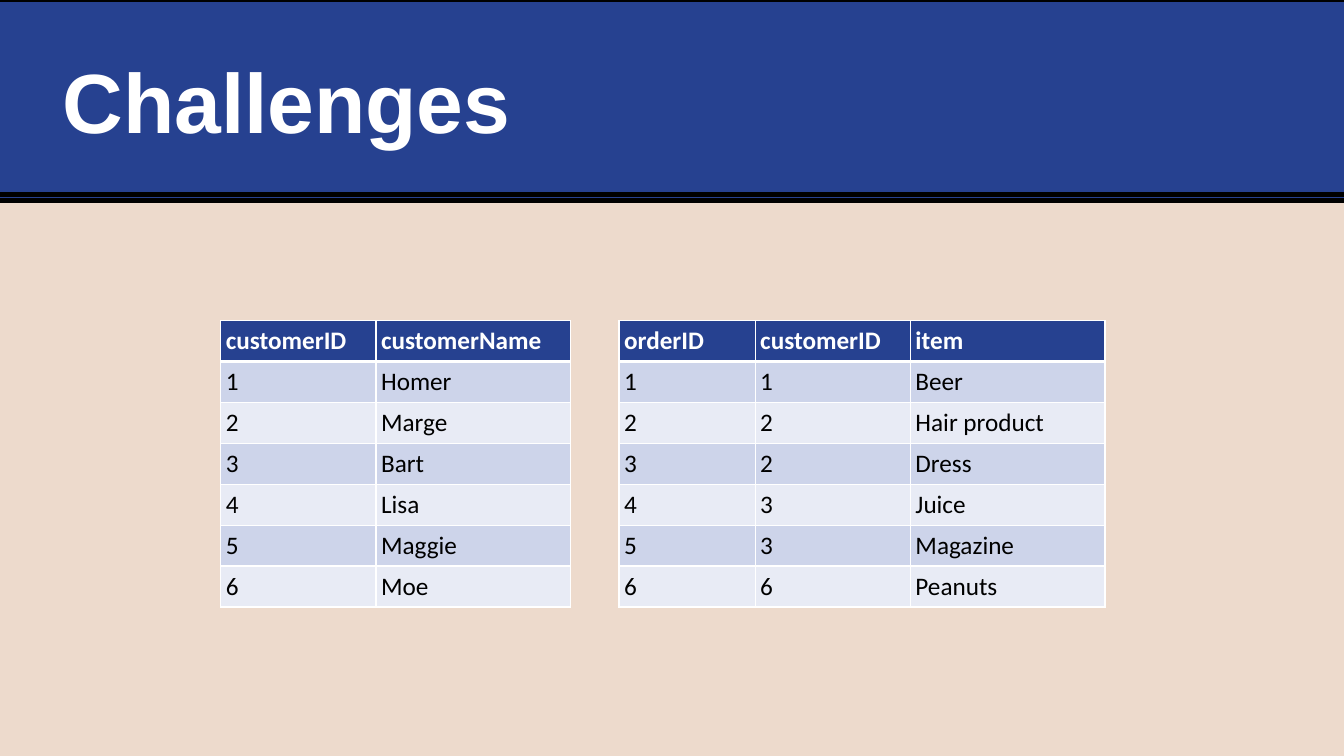
from dataclasses import dataclass

from lxml.etree import SubElement
from pptx import Presentation
from pptx.dml.color import RGBColor
from pptx.enum.shapes import MSO_CONNECTOR, MSO_SHAPE
from pptx.enum.text import MSO_ANCHOR, MSO_AUTO_SIZE, PP_ALIGN
from pptx.oxml.ns import qn
from pptx.util import Inches, Pt


@dataclass(frozen=True)
class Theme:
    """Colours, fonts and type sizes of the deck."""
    paper: str = "EDDACC"
    blue: str = "264190"
    black: str = "000000"
    white: str = "FFFFFF"
    stripes: tuple = ("CDD4EA", "E8EBF5")
    title_font: str = "Arial"
    table_font: str = "Calibri"
    title_size: int = 60
    table_size: int = 18
    rule: int = 3
    hairline: int = 1


THEME = Theme()
COLUMN_WIDTHS = {"customerID": 1.54, "customerName": 1.93, "orderID": 1.35, "item": 1.93}
ROW_HEIGHT = 0.406
CUSTOMERS = [
    ("customerID", "customerName"),
    ("1", "Homer"),
    ("2", "Marge"),
    ("3", "Bart"),
    ("4", "Lisa"),
    ("5", "Maggie"),
    ("6", "Moe"),
]
ORDERS = [
    ("orderID", "customerID", "item"),
    ("1", "1", "Beer"),
    ("2", "2", "Hair product"),
    ("3", "2", "Dress"),
    ("4", "3", "Juice"),
    ("5", "3", "Magazine"),
    ("6", "6", "Peanuts"),
]


def paint(fill, colour):
    """Give a fill one solid colour."""
    fill.solid()
    fill.fore_color.rgb = RGBColor.from_string(colour)


def style_font(font, name, size, colour, bold):
    """Set the face, size, colour and weight of a font."""
    font.name, font.size, font.bold = name, Pt(size), bold
    font.color.rgb = RGBColor.from_string(colour)


def style_line(line):
    """Make a line a heavy black rule."""
    line.color.rgb = RGBColor.from_string(THEME.black)
    line.width = Pt(THEME.rule)


def set_insets(target, inset):
    """Give a text frame or cell the same margin on every side."""
    target.margin_left = target.margin_right = Inches(inset)
    target.margin_top = target.margin_bottom = Inches(inset)


def add_header(page, text, left, top, width, height):
    """Draw the blue band, its lower rule and the title above them."""
    band = page.shapes.add_shape(
        MSO_SHAPE.RECTANGLE, Inches(left), Inches(top), Inches(width), Inches(height))
    band.shadow.inherit = False
    paint(band.fill, THEME.blue)
    style_line(band.line)

    rule_top = Inches(top + height - 0.06)
    rule = page.shapes.add_connector(
        MSO_CONNECTOR.STRAIGHT, Inches(left - 0.11), rule_top,
        Inches(left + width - 0.08), rule_top)
    style_line(rule.line)
    SubElement(rule.element.spPr, qn("a:effectLst"))

    title = page.shapes.title
    title.left, title.top = Inches(left + 0.59), Inches(top + 0.3)
    title.width, title.height = Inches(width - 1.2), Inches(height - 0.6)
    frame = title.text_frame
    frame.text = text
    frame.word_wrap = True
    frame.auto_size = MSO_AUTO_SIZE.NONE
    frame.vertical_anchor = MSO_ANCHOR.MIDDLE
    set_insets(frame, 0.13)
    para = frame.paragraphs[0]
    para.alignment = PP_ALIGN.LEFT
    style_font(para.font, THEME.title_font, THEME.title_size, THEME.white, True)
    page.shapes.element.append(title.element)


def add_borders(cell, is_header):
    """Draw white cell borders, heavier below the header."""
    properties = cell._tc.get_or_add_tcPr()
    for side in ("lnL", "lnR", "lnT", "lnB"):
        weight = THEME.rule if is_header and side == "lnB" else THEME.hairline
        border = SubElement(properties, qn(f"a:{side}"), w=str(Pt(weight)))
        fill = SubElement(border, qn("a:solidFill"))
        SubElement(fill, qn("a:srgbClr"), val=THEME.white)


def add_data_table(page, records, left, top):
    """Place a striped table whose columns follow its header names."""
    widths = [COLUMN_WIDTHS[name] for name in records[0]]
    table = page.shapes.add_table(
        len(records), len(widths), Inches(left), Inches(top),
        Inches(sum(widths)), Inches(ROW_HEIGHT * len(records))).table
    for column, width in zip(table.columns, widths):
        column.width = Inches(width)
    for index, (row, record) in enumerate(zip(table.rows, records)):
        row.height = Inches(ROW_HEIGHT)
        is_header = index == 0
        colour = THEME.white if is_header else THEME.black
        background = THEME.blue if is_header else THEME.stripes[(index - 1) % 2]
        for cell, text in zip(row.cells, record):
            cell.text = text
            set_insets(cell, 0.05)
            add_borders(cell, is_header)
            paint(cell.fill, background)
            style_font(cell.text_frame.paragraphs[0].font,
                       THEME.table_font, THEME.table_size, colour, is_header)


def main():
    """Build and save the deck."""
    deck = Presentation()
    deck.slide_width, deck.slide_height = Inches(13.33), Inches(7.5)
    page = deck.slides.add_slide(deck.slide_layouts.get_by_name("Title Only"))
    paint(page.background.fill, THEME.paper)
    add_header(page, "Challenges", -0.1, 0, 13.62, 1.99)
    for records, left in ((CUSTOMERS, 2.19), (ORDERS, 6.14)):
        add_data_table(page, records, left, 3.18)
    deck.save("out.pptx")


if __name__ == "__main__":
    main()
